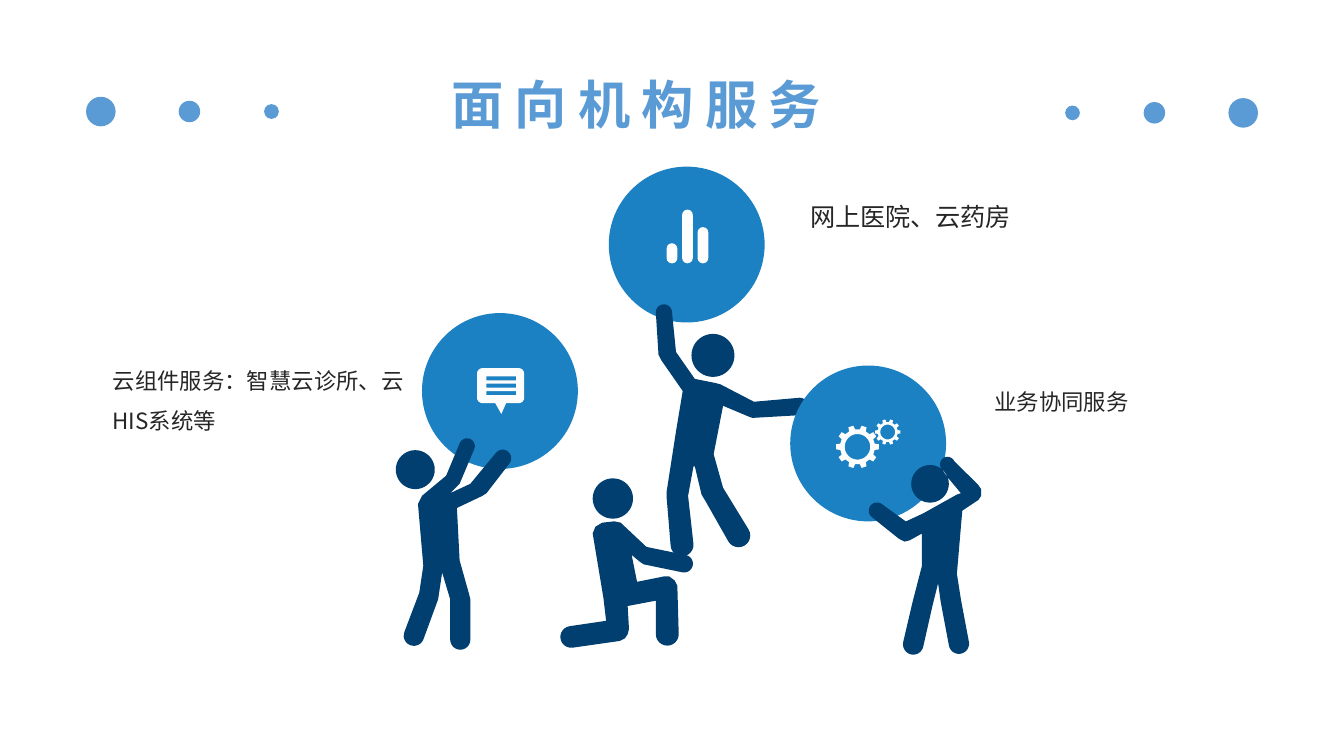
from math import cos, pi, sin

from pptx import Presentation
from pptx.dml.color import RGBColor
from pptx.enum.shapes import MSO_SHAPE
from pptx.enum.text import MSO_ANCHOR, PP_ALIGN
from pptx.oxml.ns import qn
from pptx.util import Inches, Pt

WIDE = 10
HIGH = WIDE * 9 / 16
FONT = "Noto Sans CJK SC"
SKY, BLUE, NAVY, WHITE, INK = "5B9BD5", "1B81C3", "013F70", "FDFDFD", "262626"

TITLE = ("面向机构服务", (3.26, 0.49, 3.48, 0.57), {"size": Pt(28), "bold": True}, SKY)
NOTES = [
    ("云组件服务：智慧云诊所、云HIS系统等", (0.74, 2.58, 2.4, 1.24), 12, 1.5, True),
    ("业务协同服务", (7.3, 2.74, 2.4, 0.4), 12, 1.5, True),
    ("网上医院、云药房", (5.93, 1.45, 1.7, 0.33), 13.5, 1, False),
]
DOTS = [(0.75, 0.11), (1.41, 0.08), (2.02, 0.055)]
LEFT_Y, RIGHT_Y = 0.83, 0.84
BALL = 0.58
BALLS = [(3.72, 2.91), (5.11, 1.82), (6.46, 3.3)]
BARS = [(5, 0.15), (5.115, 0.4), (5.23, 0.27)]
BAR_W, BASE = 0.08, 1.96
GEARS = [(6.38, 3.325, 0.16, 0.13, 0.095), (6.605, 3.215, 0.095, 0.075, 0.055)]
TEETH = 10

CAP = "cap"
LIFTER = (3.09, 3.495, 0.145), [
    (3.42, 3.3), CAP, (3.53, 3.34), (3.42, 3.6), (3.4, 3.62), (3.35, 3.67),
    (3.5, 3.6), (3.69, 3.37), CAP, (3.79, 3.45), (3.62, 3.67), (3.59, 3.69),
    (3.4, 3.78), (3.42, 4.17), (3.49, 4.42), (3.5, 4.46), (3.5, 4.76), CAP,
    (3.35, 4.76), (3.35, 4.46), (3.29, 4.26), (3.26, 4.46), (3.15, 4.76), CAP,
    (3.01, 4.7), (3.12, 4.41), (3.15, 4.21), (3.11, 3.75), (3.14, 3.69), (3.32, 3.54)]
CLIMBER = (5.305, 2.645, 0.16), [
    (4.88, 2.33), CAP, (5, 2.32), (5.03, 2.62), (5.17, 2.82), (5.32, 2.85), (5.36, 2.86),
    (5.61, 2.99), (5.95, 2.96), CAP, (5.95, 3.09), (5.6, 3.11), (5.57, 3.1),
    (5.38, 3.02), (5.31, 3.38), (5.38, 3.63), (5.57, 3.94), CAP, (5.42, 4.03),
    (5.25, 3.73), (5.22, 3.68), (5.17, 3.47), (5.16, 3.47), (5.12, 3.69),
    (5.16, 4.05), CAP, (4.99, 4.06), (4.96, 3.7), (4.96, 3.66), (5.03, 3.21),
    (5.08, 2.91), (4.92, 2.68), (4.9, 2.64)]
BEARER = (6.92, 3.6, 0.14), [
    (7, 3.48), CAP, (7.1, 3.43), (7.28, 3.61), (7.3, 3.64), (7.3, 3.69), (7.28, 3.72),
    (7.16, 3.8), (7.12, 4.27), (7.15, 4.46), (7.21, 4.78), CAP, (7.06, 4.8),
    (7, 4.48), (6.98, 4.34), (6.94, 4.5), (6.87, 4.81), CAP, (6.72, 4.78),
    (6.79, 4.48), (6.86, 4.21), (6.86, 3.97), (6.77, 4.02), (6.73, 4.03),
    (6.69, 4.01), (6.49, 3.85), CAP, (6.56, 3.75), (6.74, 3.88), (6.87, 3.82),
    (7.12, 3.68), (7.15, 3.67), (7.05, 3.55)]
KNEELER = (4.56, 3.71, 0.15), [
    (4.41, 3.97), (4.43, 3.92), (4.48, 3.89), (4.57, 3.88), (4.62, 3.89),
    (4.65, 3.92), (4.81, 4.07), (5.1, 4.13), CAP, (5.08, 4.26), (4.79, 4.2),
    (4.76, 4.18), (4.7, 4.13), (4.74, 4.33), (4.94, 4.29), (4.98, 4.29), (5.02, 4.32),
    (5.04, 4.36), (5.05, 4.72), CAP, (4.88, 4.72), (4.88, 4.47), (4.67, 4.51),
    (4.68, 4.68), (4.67, 4.72), (4.65, 4.75), (4.61, 4.77), (4.26, 4.82), CAP,
    (4.24, 4.66), (4.51, 4.62), (4.49, 4.45)]


def tint(code):
    return RGBColor.from_string(code)


def emu(vals):
    return [Inches(v) for v in vals]


def paint(shape, code):
    shape.shadow.inherit = False
    shape.fill.solid()
    shape.fill.fore_color.rgb = tint(code)
    shape.line.fill.background()


def preset(kind, box, code):
    shape = slide.shapes.add_shape(kind, *emu(box))
    paint(shape, code)
    return shape


def disc(x, y, r, code):
    preset(MSO_SHAPE.OVAL, (x - r, y - r, 2 * r, 2 * r), code)


def arc(x, y, r, start=0, sweep=2 * pi, steps=40):
    turns = [start + sweep * i / steps for i in range(steps + 1)]
    return [(x + r * cos(t), y + r * sin(t)) for t in turns]


def outline(loops, code):
    loops = [[emu(p) for p in loop] for loop in loops]
    pen = slide.shapes.build_freeform(*loops[0][0], scale=1.0)
    for i, loop in enumerate(loops):
        if i:
            pen.move_to(*loop[0])
        pen.add_line_segments(loop[1:], close=True)
    paint(pen.convert_to_shape(), code)


def rounded(pts):
    out = []
    for i, p in enumerate(pts):
        if p != CAP:
            out.append(p)
            continue
        (ax, ay), (bx, by) = pts[i - 1], pts[i + 1]
        hx, hy = (bx - ax) / 2, (by - ay) / 2
        out += [(ax + hx - hx * c + hy * s, ay + hy - hy * c - hx * s)
                for c, s in arc(0, 0, 1, 0, pi, 12)[1:-1]]
    return out


def person(head, body):
    outline([rounded(body), arc(*head)], NAVY)


def gear(x, y, tip, root, hole):
    edge = []
    for i in range(TEETH):
        mid = 2 * pi * i / TEETH
        for r, turn in [(root, -0.18), (tip, -0.12), (tip, 0.12), (root, 0.18)]:
            edge.append((x + r * cos(mid + turn), y + r * sin(mid + turn)))
    outline([edge, arc(x, y, hole)], WHITE)


def rect(x, y, w, h):
    return [(x, y), (x + w, y), (x + w, y + h), (x, y + h)]


def style(para, marks, code):
    font = para.runs[0].font
    for key, val in {**marks, "name": FONT}.items():
        setattr(font, key, val)
    font.color.rgb = tint(code)
    props = para.runs[0]._r.get_or_add_rPr()
    east = props.makeelement(qn("a:ea"), {"typeface": FONT})
    props.find(qn("a:latin")).addnext(east)
    return props


def place(shape, box):
    for key, val in zip(("left", "top", "width", "height"), emu(box)):
        setattr(shape, key, val)


deck = Presentation()
deck.slide_width, deck.slide_height = emu((WIDE, HIGH))
slide = deck.slides.add_slide(deck.slide_layouts[5])

for x, r in DOTS:
    disc(x, LEFT_Y, r, SKY)
    disc(WIDE - x, RIGHT_Y, r, SKY)

for spot, who in zip(BALLS, (LIFTER, CLIMBER, BEARER)):
    disc(*spot, BALL, BLUE)
    person(*who)
person(*KNEELER)

outline([[(3.68, 2.99), (3.77, 2.99), (3.73, 3.08)]], WHITE)
corners = [(3.59, 2.78), (3.86, 2.78), (3.86, 2.96), (3.59, 2.96)]
bubble = [p for i, c in enumerate(corners)
          for p in arc(*c, 0.04, pi + i * pi / 2, pi / 2, 8)]
outline([bubble] + [rect(3.62, 2.8 + 0.055 * i, 0.22, 0.03) for i in range(3)], WHITE)

for x, h in BARS:
    bar = preset(MSO_SHAPE.ROUNDED_RECTANGLE, (x - BAR_W / 2, BASE - h, BAR_W, h), WHITE)
    bar.adjustments[0] = 0.5
for wheel in GEARS:
    gear(*wheel)

for text, box, size, gap, wrap in NOTES:
    frame = slide.shapes.add_textbox(*emu(box)).text_frame
    frame.word_wrap = wrap
    para = frame.paragraphs[0]
    para.text = text
    para.line_spacing = gap
    style(para, {"size": Pt(size)}, INK)

text, box, marks, code = TITLE
head = slide.shapes.title
place(head, box)
head.text_frame.text = text
head.text_frame.vertical_anchor = MSO_ANCHOR.TOP
para = head.text_frame.paragraphs[0]
para.alignment = PP_ALIGN.LEFT
style(para, marks, code).set("spc", "600")

deck.save("out.pptx")
